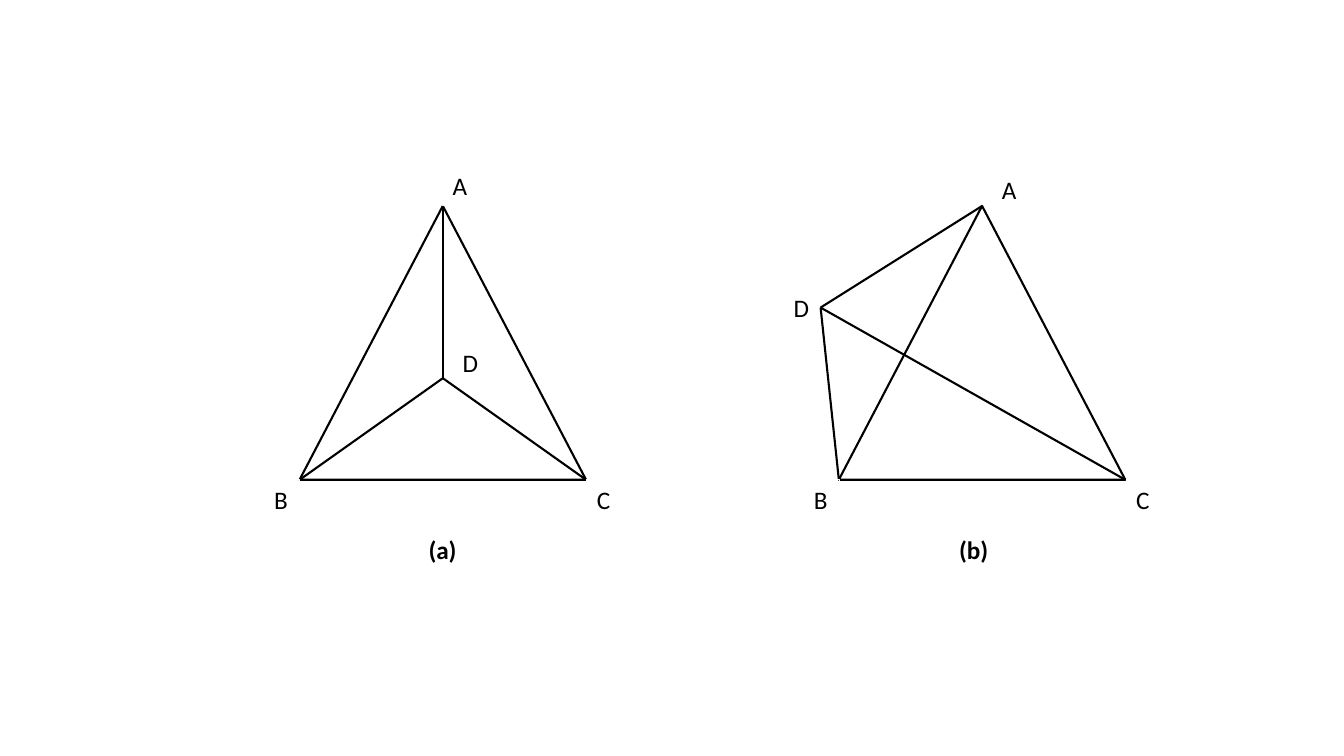
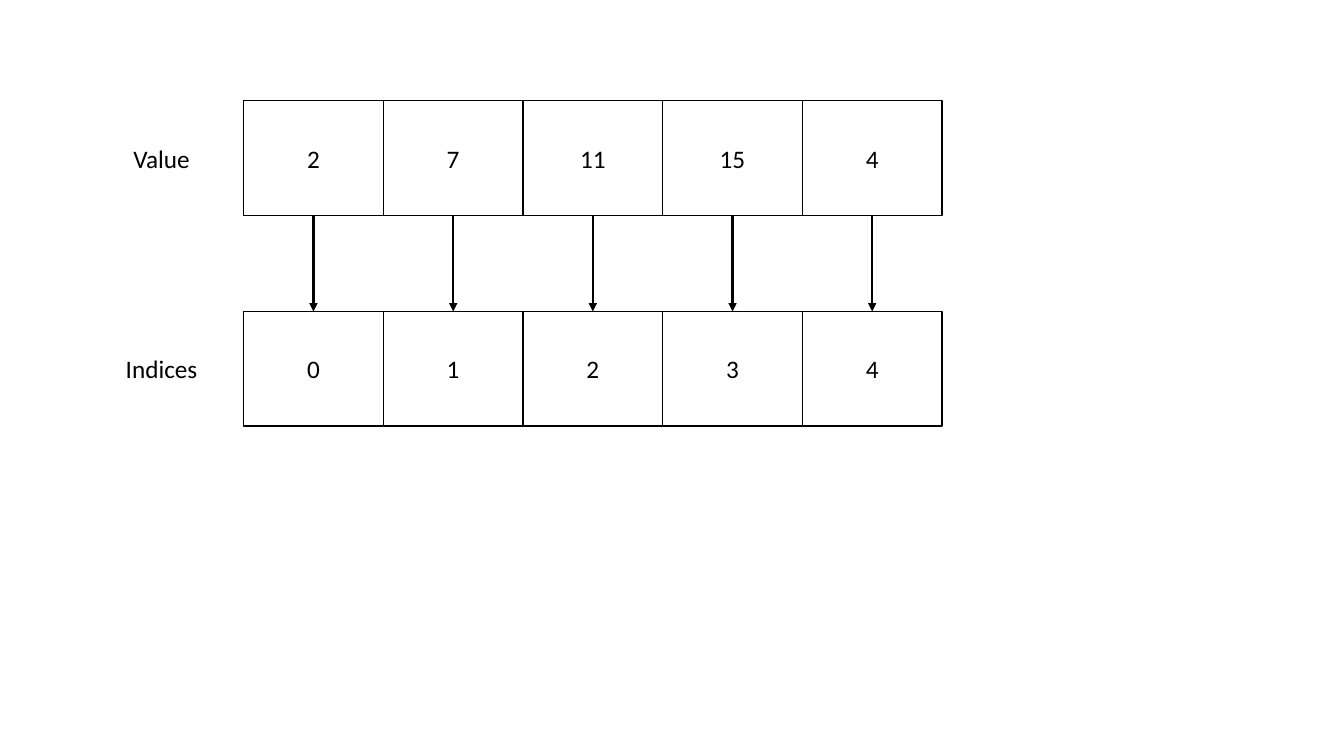
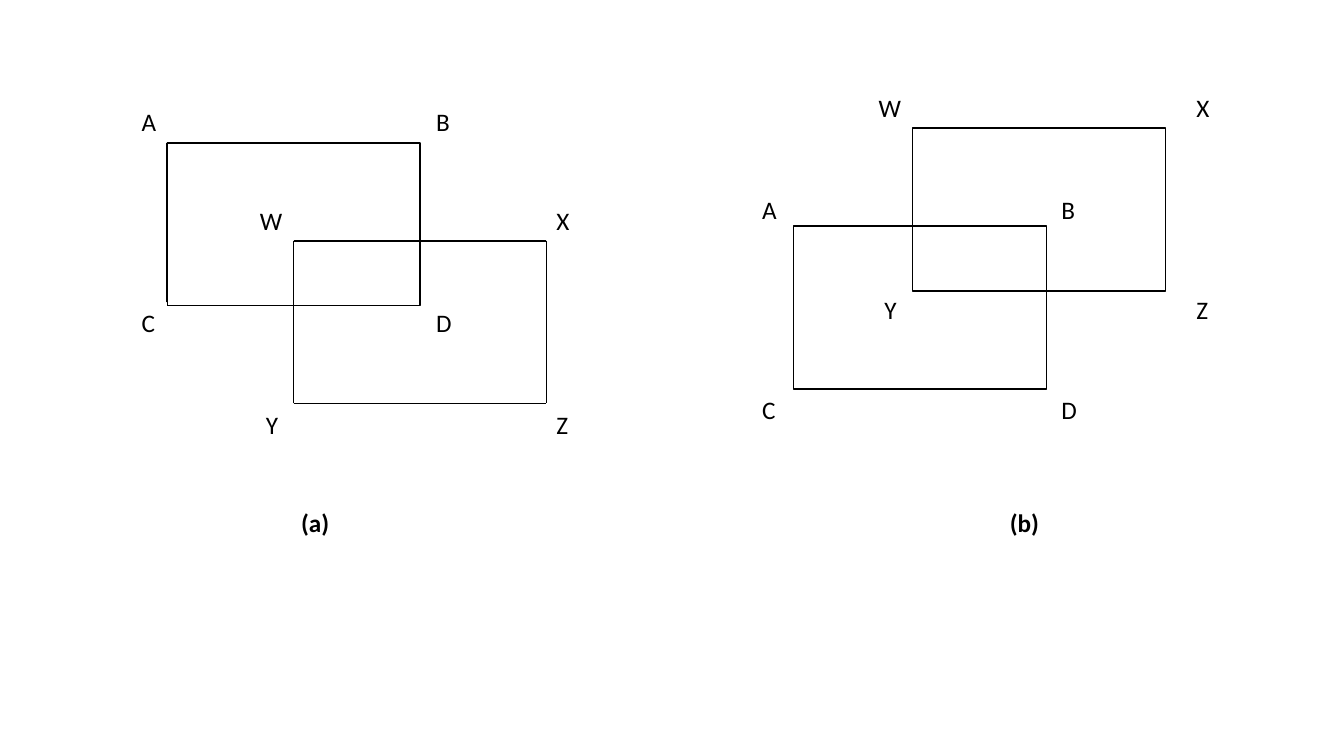
from pptx import Presentation
from pptx.dml.color import RGBColor
from pptx.enum.shapes import MSO_CONNECTOR, MSO_SHAPE
from pptx.enum.text import MSO_ANCHOR, MSO_AUTO_SIZE, PP_ALIGN
from pptx.oxml.ns import qn
from pptx.util import Cm, Pt
from lxml.etree import SubElement

BLACK = RGBColor(0x00, 0x00, 0x00)
WHITE = RGBColor(0xFF, 0xFF, 0xFF)
FONT = "Calibri"
FONT_SIZE = Pt(18)
THICK, THIN, HAIRLINE = 1.5, 1, 0.75

LABEL_HEIGHT = 1.02
LETTER_WIDTH = 0.89
LABEL_WIDTHS = {"W": 1.09, "X": 0.84, "Y": 0.94, "Z": 0.81, "(a)": 1.22,
                "(b)": 1.24, "Value": 1.96, "Indices": 2.34}

TRIANGLE_WIDTH, TRIANGLE_HEIGHT = 7.22, 6.9
CELL_WIDTH, CELL_HEIGHT = 3.52, 2.89
RECTANGLE_WIDTH, RECTANGLE_HEIGHT = 6.38, 4.1


def label_width(text):
    return LABEL_WIDTHS.get(text, LETTER_WIDTH)


def format_text(frame, bold=False):
    for para in frame.paragraphs:
        for span in para.runs:
            span.font.name = FONT
            span.font.size = FONT_SIZE
            span.font.bold = bold
            span.font.color.rgb = BLACK


def add_outline(shapes, kind, left, top, width, height, weight,
                color=BLACK, filled=True):
    shape = shapes.add_shape(kind, Cm(left), Cm(top), Cm(width), Cm(height))
    shape.shadow.inherit = False
    if filled:
        shape.fill.solid()
        shape.fill.fore_color.rgb = WHITE
    else:
        shape.fill.background()
    shape.line.color.rgb = color
    shape.line.width = Pt(weight)
    return shape


def fill_label(box, text, bold):
    frame = box.text_frame
    frame.word_wrap = False
    frame.auto_size = MSO_AUTO_SIZE.SHAPE_TO_FIT_TEXT
    frame.vertical_anchor = MSO_ANCHOR.TOP
    frame.text = text
    frame.paragraphs[0].alignment = PP_ALIGN.LEFT
    format_text(frame, bold)


def add_label(shapes, text, left, top, bold=False):
    """Add a label in a rectangle with a white outline."""
    box = add_outline(shapes, MSO_SHAPE.RECTANGLE, left, top, label_width(text),
                      LABEL_HEIGHT, HAIRLINE, color=WHITE, filled=False)
    fill_label(box, text, bold)


def add_plain_label(shapes, text, left, top, bold=False):
    box = shapes.add_textbox(Cm(left), Cm(top), Cm(label_width(text)), Cm(LABEL_HEIGHT))
    fill_label(box, text, bold)


def add_line(page, start, end, arrow=False):
    line = page.shapes.add_connector(
        MSO_CONNECTOR.STRAIGHT, *(Cm(value) for value in (*start, *end)))
    line.line.color.rgb = BLACK
    line.line.width = Pt(THICK)
    if arrow:
        SubElement(line.line._get_or_add_ln(), qn("a:tailEnd"), type="triangle")
    SubElement(line._element.spPr, qn("a:effectLst"))
    return line


def add_triangle_figure(page, left, top, point_d, labels, caption):
    """Draw triangle ABC joined to D; offsets run from the triangle's box."""
    add_outline(page.shapes, MSO_SHAPE.ISOSCELES_TRIANGLE, left, top,
                TRIANGLE_WIDTH, TRIANGLE_HEIGHT, THICK)
    corners = ((TRIANGLE_WIDTH / 2, 0), (0, TRIANGLE_HEIGHT),
               (TRIANGLE_WIDTH, TRIANGLE_HEIGHT))
    end = (left + point_d[0], top + point_d[1])
    for x, y in corners:
        add_line(page, (left + x, top + y), end)
    for letter, (x, y) in labels.items():
        add_label(page.shapes, letter, left + x, top + y)
    text, x = caption
    add_plain_label(page.shapes, text, left + x, top + 8.16, bold=True)


def add_array_row(page, left, top, name, values):
    group = page.shapes.add_group_shape()
    cells = []
    for column, value in enumerate(values):
        cell = add_outline(group.shapes, MSO_SHAPE.RECTANGLE, left + column * CELL_WIDTH,
                           top, CELL_WIDTH, CELL_HEIGHT, THIN)
        frame = cell.text_frame
        frame.text = str(value)
        frame.vertical_anchor = MSO_ANCHOR.MIDDLE
        frame.paragraphs[0].alignment = PP_ALIGN.CENTER
        format_text(frame)
        cells.append(cell)
    add_plain_label(page.shapes, name, left - 2.05 - label_width(name) / 2,
                    top + (CELL_HEIGHT - LABEL_HEIGHT) / 2)
    return cells


def add_named_rectangle(page, left, top, names, gaps):
    """Name the corners row by row; gaps part left, right, top and bottom labels."""
    add_outline(page.shapes, MSO_SHAPE.RECTANGLE, left, top,
                RECTANGLE_WIDTH, RECTANGLE_HEIGHT, THIN, filled=False)
    left_gap, right_gap, top_gap, bottom_gap = gaps
    for index, name in enumerate(names):
        row, column = divmod(index, 2)
        x = RECTANGLE_WIDTH + right_gap if column else -left_gap - label_width(name)
        y = RECTANGLE_HEIGHT + bottom_gap if row else -top_gap - LABEL_HEIGHT
        add_label(page.shapes, name, left + x, top + y)


def build_triangles(page):
    add_triangle_figure(
        page, 7.55, 5.19, (3.61, 4.34),
        {"A": (3.61, -1.02), "B": (-0.89, 6.9), "C": (7.24, 6.9), "D": (3.86, 3.43)},
        ("(a)", 3))
    add_triangle_figure(
        page, 21.14, 5.19, (-0.46, 2.56),
        {"A": (3.86, -0.91), "B": (-0.88, 6.9), "C": (7.24, 6.9), "D": (-1.39, 2.04)},
        ("(b)", 2.78))


def build_array(page):
    left, value_top, index_top = 6.14, 2.54, 7.85
    values = (2, 7, 11, 15, 4)
    value_cells = add_array_row(page, left, value_top, "Value", values)
    index_cells = add_array_row(page, left, index_top, "Indices", range(len(values)))
    for column, (value_cell, index_cell) in enumerate(zip(value_cells, index_cells)):
        x = left + (column + 0.5) * CELL_WIDTH
        arrow = add_line(page, (x, value_top + CELL_HEIGHT), (x, index_top), arrow=True)
        arrow.begin_connect(value_cell, 2)
        arrow.end_connect(index_cell, 0)


def build_rectangles(page):
    add_named_rectangle(page, 4.21, 3.6, "ABCD", (0, 0.15, 0.02, -0.08))
    add_named_rectangle(page, 7.39, 6.07, "WXYZ", (0, 0, 0, 0.01))
    add_named_rectangle(page, 20, 5.7, "ABCD", (0.15, 0.12, -0.1, 0.02))
    add_named_rectangle(page, 22.99, 3.23, "WXYZ", (0.01, 0.53, 0, -0.03))
    for text, left in (("(a)", 7.34), ("(b)", 25.2)):
        add_label(page.shapes, text, left, 12.65, bold=True)


def main():
    deck = Presentation()
    deck.slide_width, deck.slide_height = Cm(33.87), Cm(19.05)
    blank = deck.slide_layouts[6]
    for build in (build_triangles, build_array, build_rectangles):
        build(deck.slides.add_slide(blank))
    deck.save("out.pptx")


if __name__ == "__main__":
    main()
